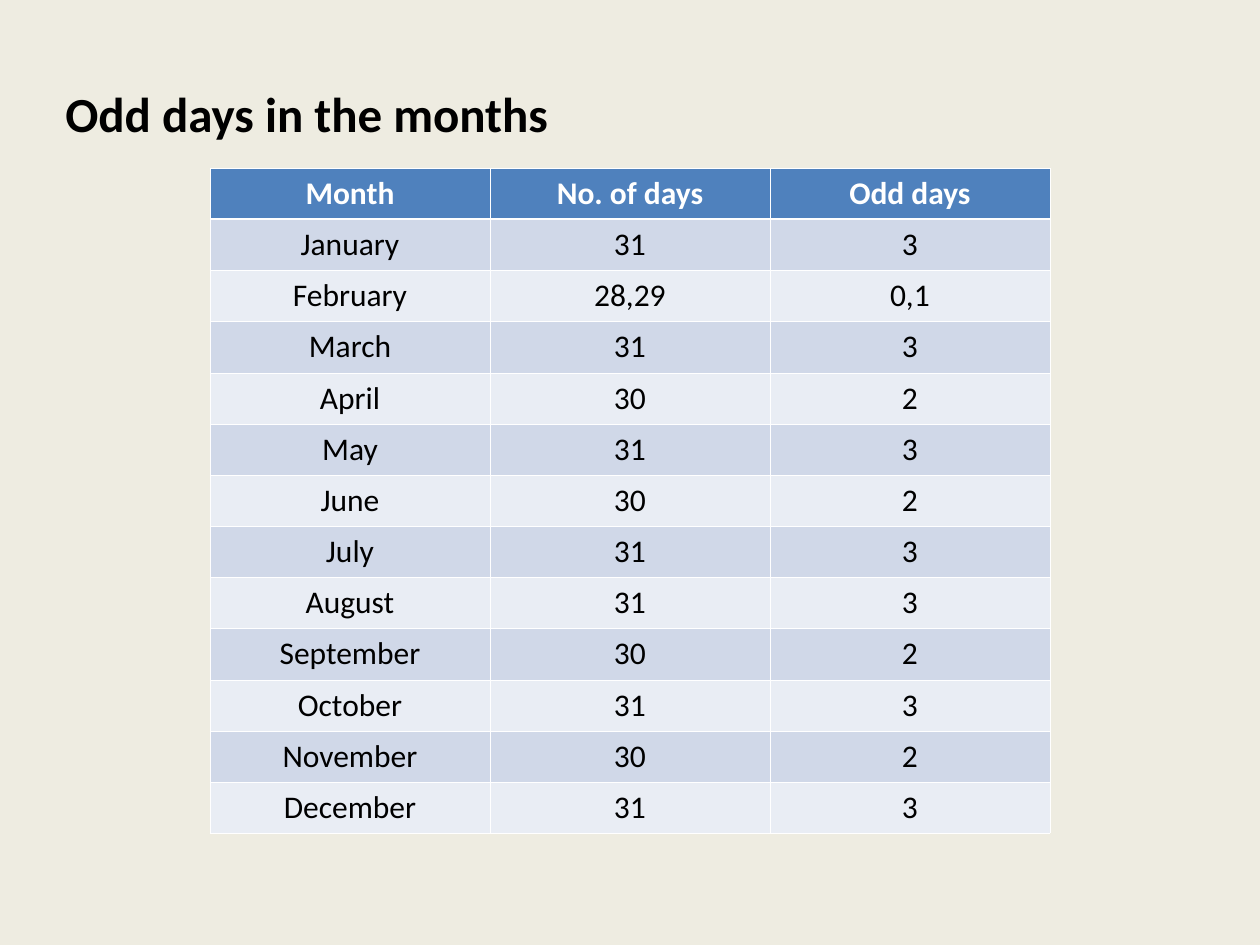
import pptx
import pptx.dml.color
import pptx.enum.text
import pptx.oxml
import pptx.oxml.ns
import pptx.util

PX = 914400 // 126
COLORS = {
    "background": "EEECE1",
    "text": "000000",
    "white": "FFFFFF",
    "header": "4F81BD",
    "band_dark": "D0D8E8",
    "band_light": "E9EDF4",
}
HEADINGS = ("Month", "No. of days", "Odd days")
MONTHS = (
    ("January", "31", "3"),
    ("February", "28,29", "0,1"),
    ("March", "31", "3"),
    ("April", "30", "2"),
    ("May", "31", "3"),
    ("June", "30", "2"),
    ("July", "31", "3"),
    ("August", "31", "3"),
    ("September", "30", "2"),
    ("October", "31", "3"),
    ("November", "30", "2"),
    ("December", "31", "3"),
)
THIN, THICK = 0.45, 1.47


def px(*lengths):
    return [pptx.util.Emu(n * PX) for n in lengths]


def rgb(name):
    return pptx.dml.color.RGBColor.from_string(COLORS[name])


def paint(fill, color):
    fill.solid()
    fill.fore_color.rgb = rgb(color)


def write(p, text, size, color, bold=False):
    r = p.add_run()
    r.text = text
    formats = {"name": "Calibri", "size": pptx.util.Pt(size), "bold": bold}
    for key, value in formats.items():
        setattr(r.font, key, value)
    r.font.color.rgb = rgb(color)


def add_title(s, text, box):
    tf = s.shapes.add_textbox(*px(*box)).text_frame
    tf.word_wrap = True
    write(tf.paragraphs[0], text, 28, "text", bold=True)


def set_borders(cell, top, bottom):
    tc_pr = cell._tc.get_or_add_tcPr()
    widths = {"lnL": THIN, "lnR": THIN, "lnT": top, "lnB": bottom}
    # Border lines come before the fill in the cell properties
    for i, (side, width) in enumerate(widths.items()):
        tc_pr.insert(i, pptx.oxml.parse_xml(
            f'<a:{side} {pptx.oxml.ns.nsdecls("a")} w="{pptx.util.Pt(width)}">'
            f'<a:solidFill><a:srgbClr val="{COLORS["white"]}"/></a:solidFill>'
            f'</a:{side}>'))


def fill_cell(cell, text, row):
    header = row == 0
    band = "band_dark" if row % 2 else "band_light"
    paint(cell.fill, "header" if header else band)
    set_borders(cell, THICK if row == 1 else THIN, THICK if header else THIN)
    p = cell.text_frame.paragraphs[0]
    p.alignment = pptx.enum.text.PP_ALIGN.CENTER
    write(p, text, 18, "white" if header else "text", bold=header)


def add_month_table(s, rows, box):
    width, height = box[2:]
    n_rows, n_cols = len(rows), len(rows[0])
    table = s.shapes.add_table(n_rows, n_cols, *px(*box)).table
    for column in table.columns:
        column.width = px(width // n_cols)[0]
    # Row edges fall on whole pixels
    edges = [round(i * height / n_rows) for i in range(n_rows + 1)]
    for i, values in enumerate(rows):
        table.rows[i].height = px(edges[i + 1] - edges[i])[0]
        for j, text in enumerate(values):
            fill_cell(table.cell(i, j), text, i)


def main():
    prs = pptx.Presentation()
    prs.slide_width, prs.slide_height = px(1260, 945)
    s = prs.slides.add_slide(prs.slide_layouts[6])
    paint(s.background.fill, "background")

    # Title
    add_title(s, "Odd days in the months", (53, 77, 1134, 72))

    # Months with their days
    add_month_table(s, (HEADINGS, *MONTHS), (210, 168, 840, 665))

    prs.save("out.pptx")


if __name__ == "__main__":
    main()
